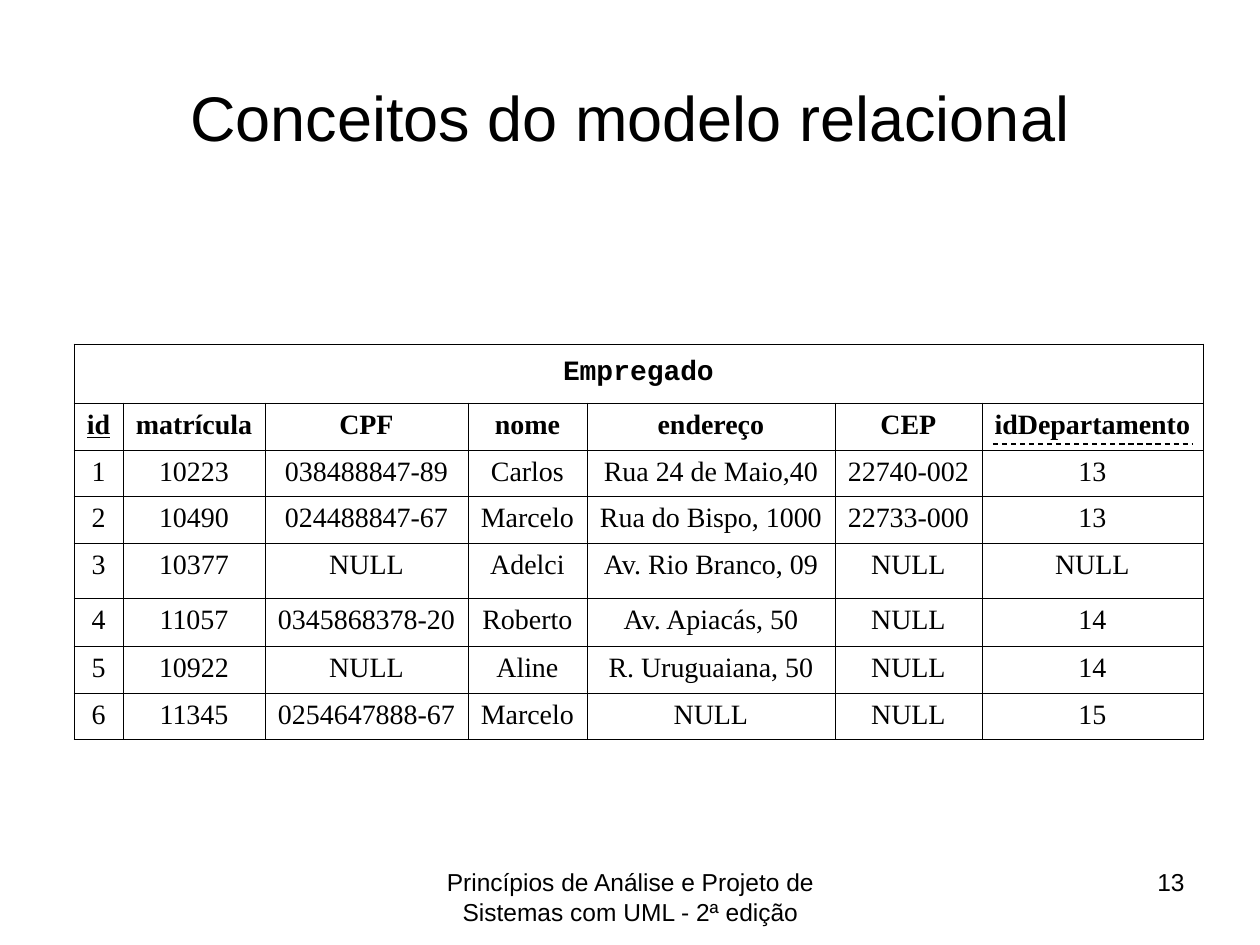
from dataclasses import dataclass

from lxml import etree
from pptx import Presentation
from pptx import util as u
from pptx.dml import color
from pptx.enum import dml, shapes, text
from pptx.oxml import ns


@dataclass(frozen=True)
class Theme:
    ink: str = "000000"
    sans: str = "Arial"
    serif: str = "Times New Roman"
    mono: str = "Courier New"
    title_size: int = 36
    table_size: int = 16
    footer_size: int = 14
    border_width: float = 0.45
    dash_width: float = 0.75


theme = Theme()
INK = color.RGBColor.from_string(theme.ink)
CENTER, RIGHT = text.PP_ALIGN.CENTER, text.PP_ALIGN.RIGHT


def px(value):
    return u.Emu(round(value * 914400 / 126))


def write(frame, content, font, size, align=CENTER, bold=False, underline=False):
    paragraph = frame.paragraphs[0]
    paragraph.alignment = align
    run = paragraph.add_run()
    run.text = content
    run.font.name = font
    run.font.size = u.Pt(size)
    run.font.bold = bold
    run.font.underline = underline
    run.font.color.rgb = INK


presentation = Presentation()
presentation.slide_width = px(1260)
presentation.slide_height = px(945)
slide = presentation.slides.add_slide(presentation.slide_layouts[6])

TOP, MIDDLE = text.MSO_ANCHOR.TOP, text.MSO_ANCHOR.MIDDLE
FOOTER = "Princípios de Análise e Projeto de Sistemas com UML - 2ª edição"
labels = [
    ((63, 38, 1134, 157), "Conceitos do modelo relacional", theme.title_size, CENTER, MIDDLE),
    ((431, 861, 399, 66), FOOTER, theme.footer_size, CENTER, TOP),
    ((903, 861, 294, 66), "13", theme.footer_size, RIGHT, TOP),
]
for bounds, content, size, align, anchor in labels:
    box = slide.shapes.add_textbox(*map(px, bounds))
    box.text_frame.word_wrap = True
    box.text_frame.vertical_anchor = anchor
    write(box.text_frame, content, theme.sans, size, align)

column_widths = [49, 142, 203, 119, 248, 147, 221]
row_heights = [59, 47, 46, 47, 55, 48, 47, 46]
rows = [
    ["id", "matrícula", "CPF", "nome", "endereço", "CEP", "idDepartamento"],
    ["1", "10223", "038488847-89", "Carlos", "Rua 24 de Maio,40", "22740-002", "13"],
    ["2", "10490", "024488847-67", "Marcelo", "Rua do Bispo, 1000", "22733-000", "13"],
    ["3", "10377", "NULL", "Adelci", "Av. Rio Branco, 09", "NULL", "NULL"],
    ["4", "11057", "0345868378-20", "Roberto", "Av. Apiacás, 50", "NULL", "14"],
    ["5", "10922", "NULL", "Aline", "R. Uruguaiana, 50", "NULL", "14"],
    ["6", "11345", "0254647888-67", "Marcelo", "NULL", "NULL", "15"],
]
frame = slide.shapes.add_table(
    len(row_heights), len(column_widths),
    px(74), px(344), px(sum(column_widths)), px(sum(row_heights)),
)
table = frame.table
table.first_row = False
table.horz_banding = False
for column, width in zip(table.columns, column_widths):
    column.width = px(width)
for row, height in zip(table.rows, row_heights):
    row.height = px(height)

for cell in table.iter_cells():
    properties = cell._tc.get_or_add_tcPr()
    for side in ("lnL", "lnR", "lnT", "lnB"):
        border = etree.SubElement(properties, ns.qn(f"a:{side}"), w=str(u.Pt(theme.border_width)))
        fill = etree.SubElement(border, ns.qn("a:solidFill"))
        etree.SubElement(fill, ns.qn("a:srgbClr"), val=theme.ink)
    cell.fill.background()

heading = table.cell(0, 0)
heading.merge(table.cell(0, len(column_widths) - 1))
heading.vertical_anchor = MIDDLE
write(heading.text_frame, "Empregado", theme.mono, theme.table_size, bold=True)

for row_index, values in enumerate(rows, start=1):
    for column_index, value in enumerate(values):
        write(
            table.cell(row_index, column_index).text_frame, value, theme.serif, theme.table_size,
            bold=row_index == 1, underline=value == "id",
        )

foreign_key_line = slide.shapes.add_connector(
    shapes.MSO_CONNECTOR.STRAIGHT, px(993), px(444), px(1192), px(444)
)
foreign_key_line.line.color.rgb = INK
foreign_key_line.line.width = u.Pt(theme.dash_width)
foreign_key_line.line.dash_style = dml.MSO_LINE.DASH
etree.SubElement(foreign_key_line._element.spPr, ns.qn("a:effectLst"))

presentation.save("out.pptx")
